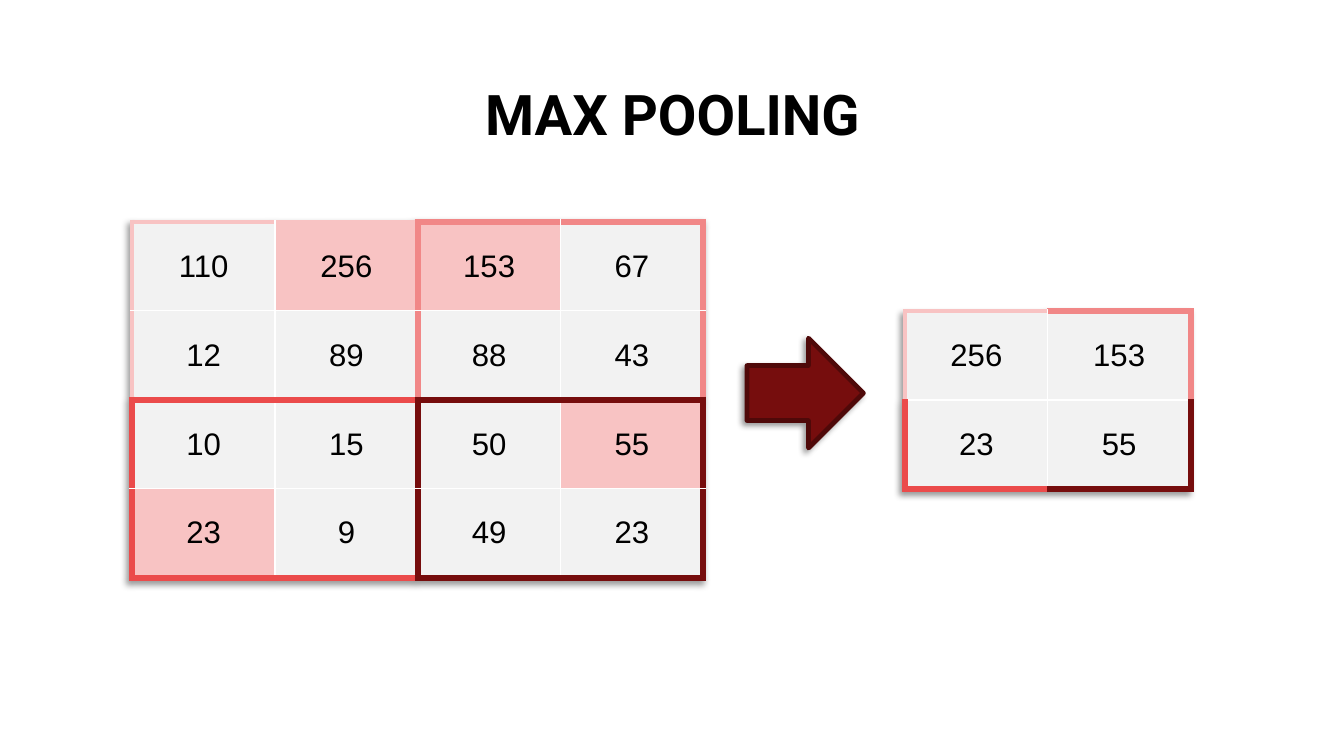
from lxml import etree
from pptx import Presentation
from pptx.dml.color import RGBColor
from pptx.enum.shapes import MSO_SHAPE
from pptx.enum.text import MSO_ANCHOR, PP_ALIGN
from pptx.oxml.ns import qn
from pptx.util import Pt

CENTER = PP_ALIGN.CENTER
MIDDLE, BOTTOM = MSO_ANCHOR.MIDDLE, MSO_ANCHOR.BOTTOM
RIGHT_ARROW = MSO_SHAPE.RIGHT_ARROW

BLACK, WHITE, GRAY = "000000", "FFFFFF", "F2F2F2"
PINK, CORAL, RED, MAROON, DARK_MAROON = "F8C3C3", "F18787", "EB4B4B", "760D0D", "4F0909"
QUADRANTS = [[(PINK, 3), (CORAL, 4.5)], [(RED, 4.5), (MAROON, 4.5)]]
GRID_LINE = (WHITE, 1)
CELL_WIDTH, CELL_HEIGHT = 91.8, 57.2

TITLE_FORMAT = {"name": "Roboto", "size": Pt(36), "bold": True}
NUMBER_FORMAT = {"name": "Arial", "size": Pt(20), "bold": False}

FEATURE_MAP = [
    [110, 256, 153, 67],
    [12, 89, 88, 43],
    [10, 15, 50, 55],
    [23, 9, 49, 23],
]


def rgb(value):
    return RGBColor.from_string(value)


def write_text(text_frame, text, font_format):
    paragraph = text_frame.paragraphs[0]
    paragraph.text = text
    paragraph.alignment = CENTER
    for name, value in font_format.items():
        setattr(paragraph.font, name, value)
    paragraph.font.color.rgb = rgb(BLACK)
    return paragraph


def add_color(parent, value):
    return etree.SubElement(parent, qn("a:srgbClr"), val=value)


def add_shadow(effect_list):
    shadow = etree.SubElement(
        effect_list, qn("a:outerShdw"), blurRad=str(Pt(4)), dist=str(Pt(3)),
        dir=str(135 * 60000), algn="tr", rotWithShape="0")
    etree.SubElement(add_color(shadow, BLACK), qn("a:alpha"), val="40000")


def add_border(cell, side, color, width):
    line = etree.SubElement(cell._tc.get_or_add_tcPr(), qn(f"a:ln{side}"), w=str(Pt(width)))
    add_color(etree.SubElement(line, qn("a:solidFill")), color)


def cell_borders(row, column, size):
    """Outline each quadrant; inside the grid the right or lower quadrant wins."""
    block = size // 2

    def edge(line_row, line_column, position):
        outlined = position in (0, size) or (block > 1 and position == block)
        if not outlined:
            return GRID_LINE
        return QUADRANTS[min(line_row, size - 1) // block][min(line_column, size - 1) // block]

    return {
        "L": edge(row, column, column),
        "R": edge(row, column + 1, column + 1),
        "T": edge(row, column, row),
        "B": edge(row + 1, column, row + 1),
    }


def add_title(slide, left, top, width, height):
    text_frame = slide.shapes.add_textbox(Pt(left), Pt(top), Pt(width), Pt(height)).text_frame
    text_frame.word_wrap = True
    text_frame.vertical_anchor = BOTTOM
    write_text(text_frame, "MAX POOLING", TITLE_FORMAT).line_spacing = 0.9


def add_matrix(slide, values, highlighted, left, top):
    """Place a square table; highlighted holds (row, column) pairs."""
    size = len(values)
    table = slide.shapes.add_table(
        size, size, Pt(left), Pt(top),
        Pt(size * CELL_WIDTH), Pt(size * CELL_HEIGHT)).table
    table.first_row = table.horz_banding = False
    effect_list = etree.Element(qn("a:effectLst"))
    table._tbl.tblPr.insert(0, effect_list)
    add_shadow(effect_list)
    for row, numbers in enumerate(values):
        table.rows[row].height = Pt(CELL_HEIGHT)
        table.columns[row].width = Pt(CELL_WIDTH)
        for column, number in enumerate(numbers):
            cell = table.cell(row, column)
            for side, (color, width) in cell_borders(row, column, size).items():
                add_border(cell, side, color, width)
            cell.fill.solid()
            cell.fill.fore_color.rgb = rgb(PINK if (row, column) in highlighted else GRAY)
            cell.vertical_anchor = MIDDLE
            write_text(cell.text_frame, str(number), NUMBER_FORMAT)


def add_arrow(slide, left, top, width, height):
    arrow = slide.shapes.add_shape(RIGHT_ARROW, Pt(left), Pt(top), Pt(width), Pt(height))
    arrow.fill.solid()
    arrow.fill.fore_color.rgb = rgb(MAROON)
    arrow.line.color.rgb = rgb(DARK_MAROON)
    arrow.line.width = Pt(3)
    arrow.shadow.inherit = False
    add_shadow(arrow._element.spPr.find(qn("a:effectLst")))


def pool_maxima(values):
    """Return the maxima of the 2 by 2 blocks and the cells they come from."""
    pooled, sources = [], set()
    for top in range(0, len(values), 2):
        pooled.append([])
        for left in range(0, len(values), 2):
            cells = [(top + i, left + j) for i in range(2) for j in range(2)]
            source = max(cells, key=lambda cell: values[cell[0]][cell[1]])
            sources.add(source)
            pooled[-1].append(values[source[0]][source[1]])
    return pooled, sources


def main():
    presentation = Presentation()
    presentation.slide_width, presentation.slide_height = Pt(864), Pt(486)
    slide = presentation.slides.add_slide(presentation.slide_layouts[6])
    pooled, sources = pool_maxima(FEATURE_MAP)
    add_title(slide, 39.6, 51.8, 785.5, 46.8)
    add_matrix(slide, FEATURE_MAP, sources, 85, 142.6)
    add_matrix(slide, pooled, set(), 581.8, 200)
    add_arrow(slide, 480.2, 217.4, 74.9, 70.6)
    presentation.save("out.pptx")


if __name__ == "__main__":
    main()
